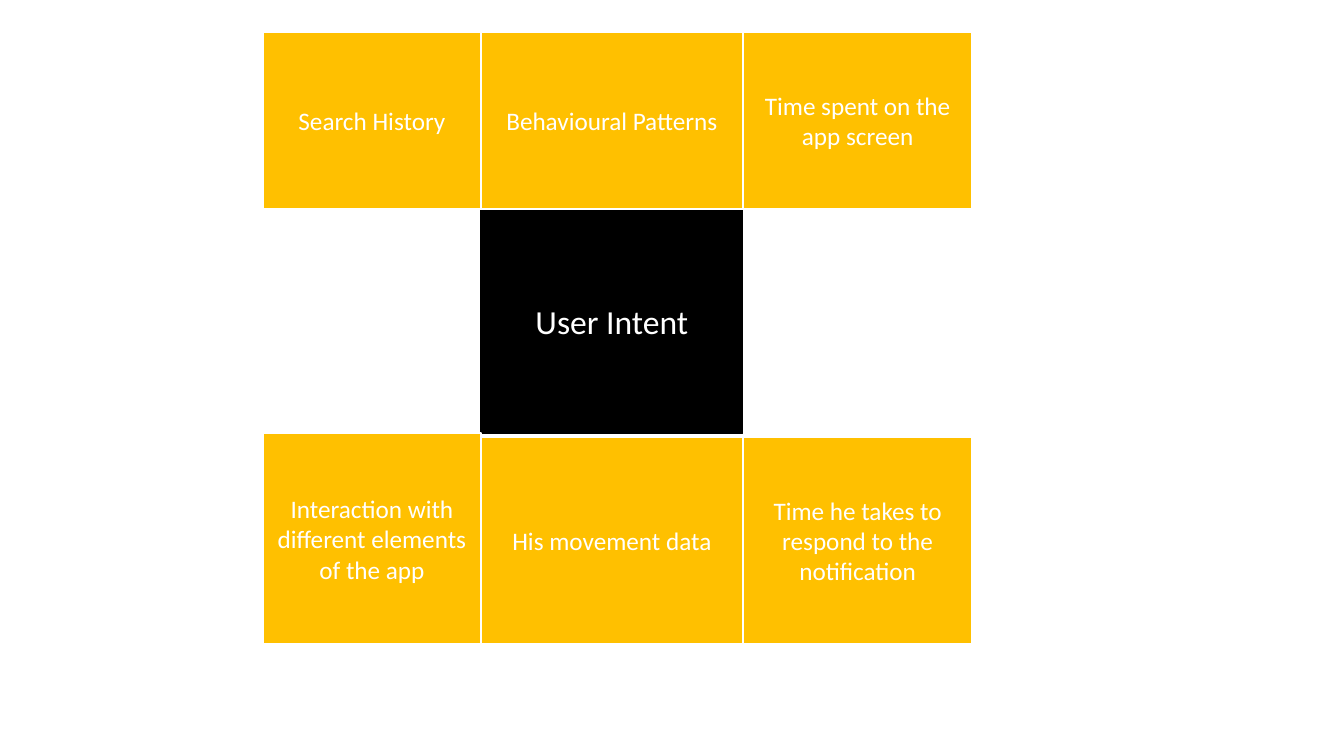
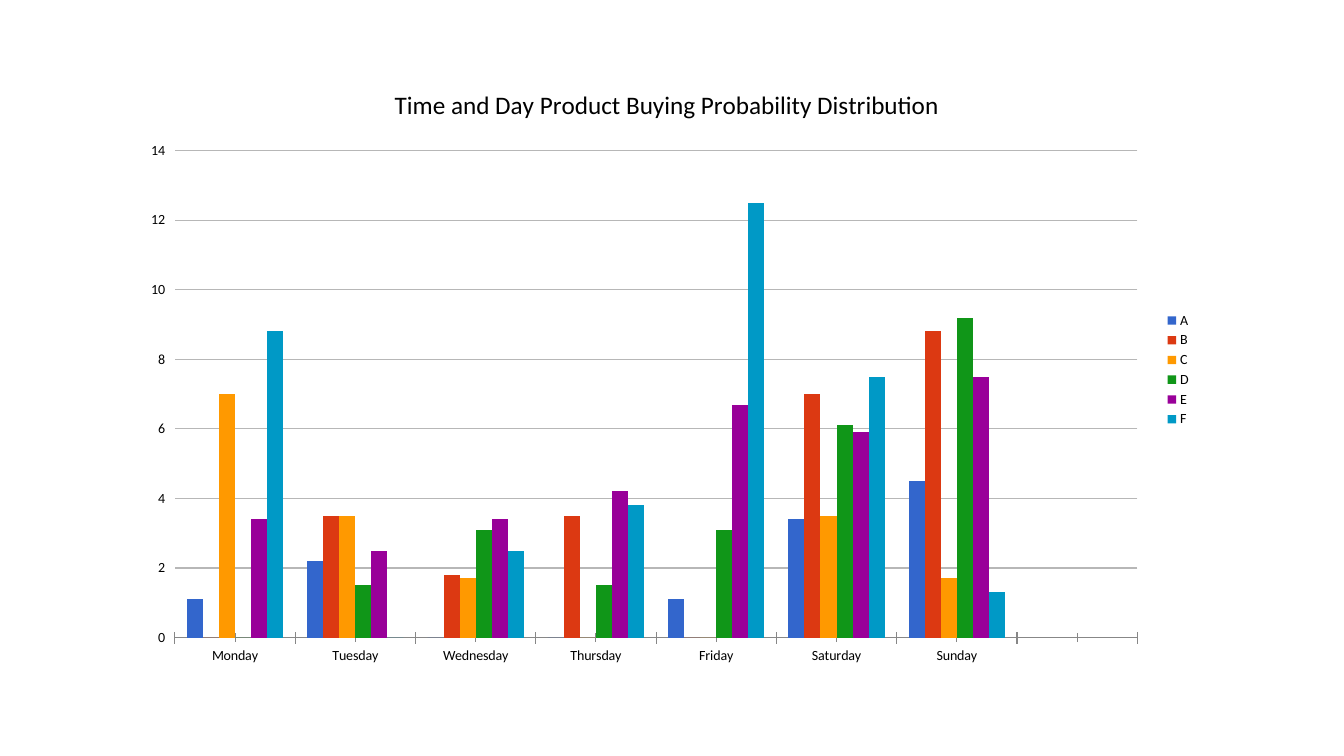
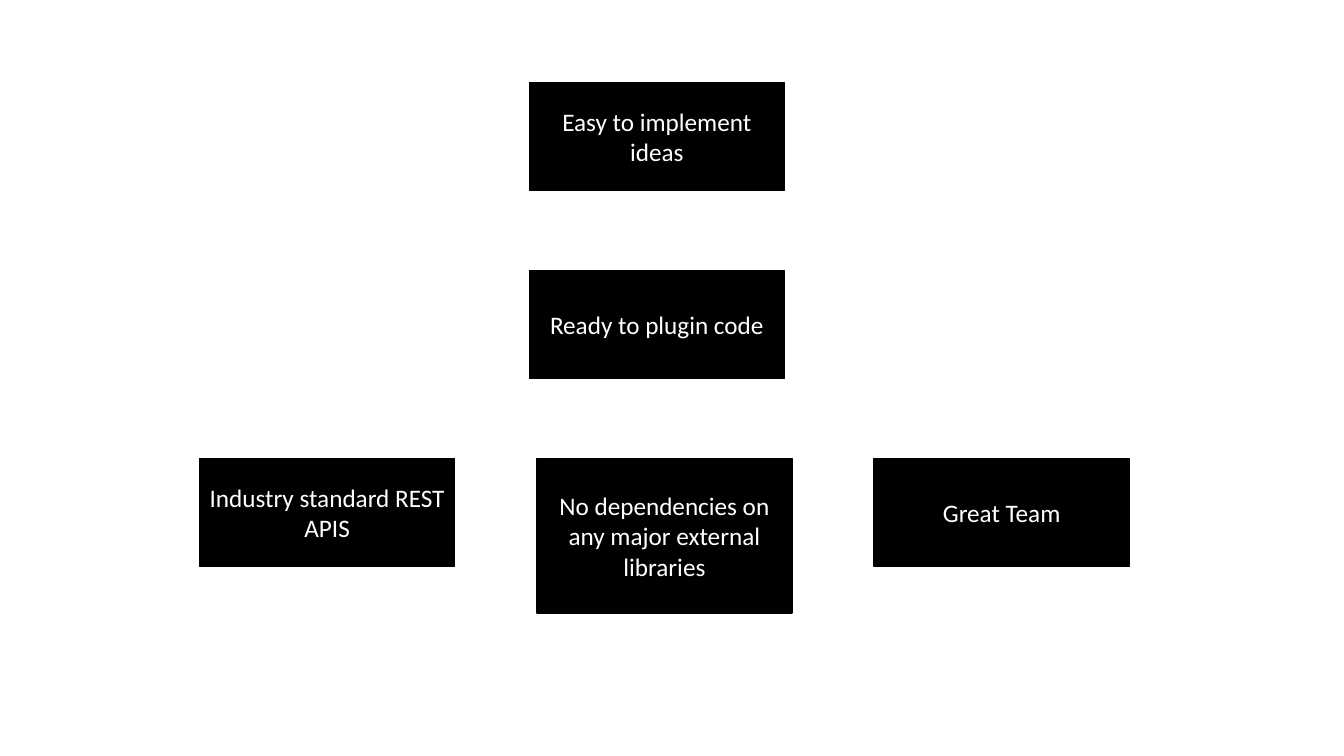
import pptx
import pptx.chart.data
import pptx.dml.color
import pptx.enum.chart
import pptx.enum.shapes
import pptx.enum.text
import pptx.oxml
import pptx.oxml.ns
import pptx.util

Cm, Pt = pptx.util.Cm, pptx.util.Pt

FONT = "Calibri"
BLACK, WHITE, AMBER = "000000", "FFFFFF", "FFC000"
GRID_GREY, AXIS_GREY = "B7B7B7", "878787"

# Intent slide: centre box with a row of signals above and below (cm)
INTENT = "User Intent"
SIGNALS_ABOVE = ["Search History", "Behavioural Patterns", "Time spent on the app screen"]
SIGNALS_BELOW = ["Interaction with different elements of the app", "His movement data",
                 "Time he takes to respond to the notification"]
SIGNAL_LEFT, SIGNAL_WIDTHS = 6.63, [5.49, 6.6, 5.79]
ABOVE_TOP, ABOVE_HEIGHT = 0.81, 4.45
INTENT_TOP, INTENT_HEIGHT = 5.26, 5.66
BELOW_TOPS, BELOW_BOTTOM = [10.92, 11, 11], 16.23

# Buying chart
CHART_TITLE = "Time and Day Product Buying Probability Distribution"
# The last, unnamed category leaves an empty slot at the right
DAYS = ["Monday", "Tuesday", "Wednesday", "Thursday", "Friday", "Saturday", "Sunday", ""]
PRODUCTS = [
    ("A", "3366CC", [1.1, 2.2, 0, 0, 1.1, 3.4, 4.5, None]),
    ("B", "DC3912", [0, 3.5, 1.8, 3.5, 0, 7, 8.8, None]),
    ("C", "FF9900", [7, 3.5, 1.7, 0, 0, 3.5, 1.7, None]),
    ("D", "109618", [0, 1.5, 3.1, 1.5, 3.1, 6.1, 9.2, None]),
    ("E", "990099", [3.4, 2.5, 3.4, 4.2, 6.7, 5.9, 7.5, None]),
    ("F", "0099C6", [8.8, 0, 2.5, 3.8, 12.5, 7.5, 1.3, None]),
]
PLOT_AREA = {"x": 0.04, "y": 0.14, "w": 0.9, "h": 0.8}

# Strengths slide: a short column over a row (cm)
STRENGTH_COLUMN = ["Easy to implement ideas", "Ready to plugin code"]
STRENGTH_ROW = [("Industry standard REST APIS", 2.72),
                ("No dependencies on any major external libraries", 3.89),
                ("Great Team", 2.72)]
STRENGTH_WIDTH, STRENGTH_HEIGHT = 6.43, 2.72
COLUMN_LEFT, ROW_LEFT, STRENGTH_TOP = 13.34, 5.03, 2.08
PITCH_ACROSS, PITCH_DOWN = 8.5, 4.74


def rgb(value):
    return pptx.dml.color.RGBColor.from_string(value)


def add_box(page, text, left, top, width, height, *, fill=BLACK, line=BLACK,
            line_width=1, size=18, color=WHITE):
    """Add a rectangle, measured in cm, with centred text."""
    box = page.shapes.add_shape(pptx.enum.shapes.MSO_SHAPE.RECTANGLE,
                                Cm(left), Cm(top), Cm(width), Cm(height))
    box.shadow.inherit = False
    box.fill.solid()
    box.fill.fore_color.rgb = rgb(fill)
    box.line.color.rgb = rgb(line)
    box.line.width = Pt(line_width)
    frame = box.text_frame
    frame.word_wrap = True
    frame.vertical_anchor = pptx.enum.text.MSO_ANCHOR.MIDDLE
    para = frame.paragraphs[0]
    para.alignment = pptx.enum.text.PP_ALIGN.CENTER
    span = para.add_run()
    span.text = text
    format_font(span.font, size, color)


def format_font(font, size, color=BLACK):
    font.name, font.size, font.bold = FONT, Pt(size), False
    font.color.rgb = rgb(color)


def place_plot(chart):
    """Fix the inner plot area as fractions of the chart."""
    plot_area = chart.plots[0]._element.getparent()
    for old in plot_area.findall(pptx.oxml.ns.qn("c:layout")):
        plot_area.remove(old)
    modes = "".join(f'<c:{side}Mode val="edge"/>' for side in "xy")
    sizes = "".join(f'<c:{side} val="{share}"/>' for side, share in PLOT_AREA.items())
    plot_area.insert(0, pptx.oxml.parse_xml(
        f'<c:layout {pptx.oxml.ns.nsdecls("c")}><c:manualLayout>'
        f'<c:layoutTarget val="inner"/>{modes}{sizes}</c:manualLayout></c:layout>'))


def build_intent(page):
    lefts = [SIGNAL_LEFT + sum(SIGNAL_WIDTHS[:i]) for i in range(len(SIGNAL_WIDTHS))]
    add_box(page, INTENT, lefts[1], INTENT_TOP, SIGNAL_WIDTHS[1], INTENT_HEIGHT, size=24)
    style = {"fill": AMBER, "line": WHITE, "line_width": 1.5}
    for above, below, left, width, below_top in zip(
            SIGNALS_ABOVE, SIGNALS_BELOW, lefts, SIGNAL_WIDTHS, BELOW_TOPS):
        add_box(page, above, left, ABOVE_TOP, width, ABOVE_HEIGHT, **style)
        add_box(page, below, left, below_top, width, BELOW_BOTTOM - below_top, **style)


def build_chart(page):
    data = pptx.chart.data.CategoryChartData()
    data.categories = DAYS
    for name, _, values in PRODUCTS:
        data.add_series(name, values)
    chart = page.shapes.add_chart(
        pptx.enum.chart.XL_CHART_TYPE.COLUMN_CLUSTERED,
        Cm(3.33), Cm(1.65), Cm(26.95), Cm(15.34), data).chart
    format_font(chart.font, 10)

    chart.has_title = True
    para = chart.chart_title.text_frame.paragraphs[0]
    span = para.add_run()
    span.text = CHART_TITLE
    format_font(span.font, 18)
    chart.chart_title.include_in_layout = False

    chart.has_legend = True
    chart.legend.position = pptx.enum.chart.XL_LEGEND_POSITION.RIGHT
    chart.legend.include_in_layout = False

    plot = chart.plots[0]
    plot.gap_width, plot.overlap, plot.vary_by_categories = 150, 0, False
    for series, (_, color, _) in zip(plot.series, PRODUCTS):
        series.format.fill.solid()
        series.format.fill.fore_color.rgb = rgb(color)

    for axis in (chart.category_axis, chart.value_axis):
        axis.major_tick_mark = axis.minor_tick_mark = pptx.enum.chart.XL_TICK_MARK.CROSS
    chart.category_axis.format.line.color.rgb = rgb(AXIS_GREY)
    values = chart.value_axis
    values.minimum_scale, values.maximum_scale, values.major_unit = 0, 14, 2
    values.format.line.fill.background()
    values.has_major_gridlines = True
    values.major_gridlines.format.line.color.rgb = rgb(GRID_GREY)
    values.major_gridlines.format.line.width = Pt(0.75)
    place_plot(chart)


def build_strengths(page):
    for i, text in enumerate(STRENGTH_COLUMN):
        add_box(page, text, COLUMN_LEFT, STRENGTH_TOP + i * PITCH_DOWN,
                STRENGTH_WIDTH, STRENGTH_HEIGHT)
    row_top = STRENGTH_TOP + len(STRENGTH_COLUMN) * PITCH_DOWN
    for i, (text, height) in enumerate(STRENGTH_ROW):
        add_box(page, text, ROW_LEFT + i * PITCH_ACROSS, row_top, STRENGTH_WIDTH, height)


def main():
    deck = pptx.Presentation()
    deck.slide_width, deck.slide_height = Cm(33.87), Cm(19.05)
    blank = deck.slide_layouts[6]
    for build in (build_intent, build_chart, build_strengths):
        build(deck.slides.add_slide(blank))
    deck.save("out.pptx")


if __name__ == "__main__":
    main()
